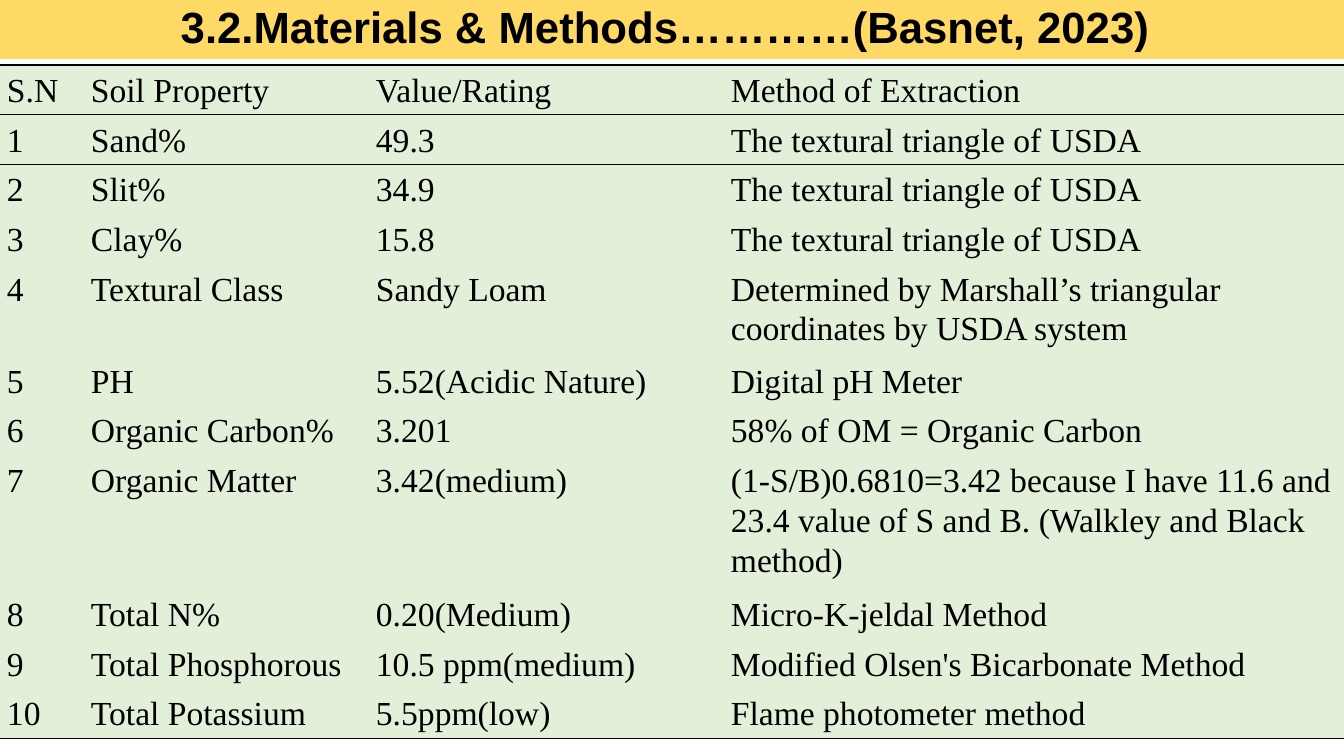
from dataclasses import dataclass

from lxml.etree import SubElement
from pptx import Presentation
from pptx.dml.color import RGBColor
from pptx.enum.text import MSO_ANCHOR, MSO_AUTO_SIZE, PP_ALIGN
from pptx.oxml import parse_xml
from pptx.oxml.ns import nsdecls, qn
from pptx.util import Pt

TITLE = "3.2.Materials & Methods…………(Basnet, 2023)"
TEXTURE_METHOD = "The textural triangle of USDA"
HEADER = ("S.N", "Soil Property", "Value/Rating", "Method of Extraction")
SOIL_PROPERTIES = [
    ("Sand%", "49.3", TEXTURE_METHOD),
    ("Slit%", "34.9", TEXTURE_METHOD),
    ("Clay%", "15.8", TEXTURE_METHOD),
    ("Textural Class", "Sandy Loam",
     "Determined by Marshall’s triangular coordinates by USDA system"),
    ("PH", "5.52(Acidic Nature)", "Digital pH Meter"),
    ("Organic Carbon%", "3.201", "58% of OM = Organic Carbon"),
    ("Organic Matter", "3.42(medium)",
     "(1-S/B)0.6810=3.42 because I have 11.6 and 23.4 value of S and B. "
     "(Walkley and Black method)"),
    ("Total N%", "0.20(Medium)", "Micro-K-jeldal Method"),
    ("Total Phosphorous", "10.5 ppm(medium)", "Modified Olsen's Bicarbonate Method"),
    ("Total Potassium", "5.5ppm(low)", "Flame photometer method"),
]

SLIDE_SIZE = (1344, 756)
TITLE_BOX = (-14, 0, 1358, 59)
TABLE_TOP = 65
COLUMN_WIDTHS = (84, 285, 355, 620)
ROW_HEIGHT = 49
TALL_ROWS = {4: 92, 7: 134}
CELL_MARGINS = (7, 5)
PLAIN_TABLE_STYLE = "{2D5ABB26-0587-4C30-8999-92F81FD0307C}"


@dataclass(frozen=True)
class Theme:
    band: str = "FFD966"
    cell: str = "E2F0D9"
    ink: str = "000000"
    title_font: str = "Arial"
    table_font: str = "Times New Roman"
    title_size: float = 31.2
    table_size: float = 24
    rule: float = 1


THEME = Theme()


def px(length):
    return round(length * 914400 / 100.8)


def paint(target, color):
    target.fill.solid()
    target.fill.fore_color.rgb = RGBColor.from_string(color)


def write(frame, text, *, font, size, bold=False, align=PP_ALIGN.LEFT, spacing=1.0):
    frame.word_wrap = True
    paragraph = frame.paragraphs[0]
    paragraph.alignment = align
    paragraph.line_spacing = spacing
    paragraph.space_before = paragraph.space_after = Pt(0)
    run = paragraph.add_run()
    run.text = text
    run.font.name = font
    run.font.size = Pt(size)
    run.font.bold = bold
    run.font.color.rgb = RGBColor.from_string(THEME.ink)


def rule_cell(cell, edges):
    """Draw a line on the given edges, "T" and "B" in that order."""
    properties = cell._tc.get_or_add_tcPr()
    for position, edge in enumerate(edges):
        line = parse_xml(f'<a:ln{edge} {nsdecls("a")} w="{Pt(THEME.rule)}"/>')
        fill = SubElement(line, qn("a:solidFill"))
        SubElement(fill, qn("a:srgbClr"), val=THEME.ink)
        properties.insert(position, line)


def add_title(slide):
    title = slide.shapes.title
    title.left, title.top, title.width, title.height = map(px, TITLE_BOX)
    paint(title, THEME.band)
    frame = title.text_frame
    frame.auto_size = MSO_AUTO_SIZE.NONE
    frame.vertical_anchor = MSO_ANCHOR.MIDDLE
    write(frame, TITLE, font=THEME.title_font, size=THEME.title_size, bold=True,
          align=PP_ALIGN.CENTER, spacing=0.9)


def add_soil_table(slide):
    rows = [HEADER] + [(str(number), *soil)
                       for number, soil in enumerate(SOIL_PROPERTIES, 1)]
    heights = [TALL_ROWS.get(index, ROW_HEIGHT) for index in range(len(rows))]
    table = slide.shapes.add_table(
        len(rows), len(HEADER), 0, px(TABLE_TOP),
        px(sum(COLUMN_WIDTHS)), px(sum(heights))).table
    table.horz_banding = table.first_row = False
    table._tbl.tblPr.find(qn("a:tableStyleId")).text = PLAIN_TABLE_STYLE

    for column, width in zip(table.columns, COLUMN_WIDTHS):
        column.width = px(width)
    for row, height in zip(table.rows, heights):
        row.height = px(height)

    ruled_edges = {0: "TB", 1: "T", len(rows) - 1: "B"}
    side, end = map(px, CELL_MARGINS)
    for row_index, values in enumerate(rows):
        for column_index, value in enumerate(values):
            cell = table.cell(row_index, column_index)
            cell.margin_left = cell.margin_right = side
            cell.margin_top = cell.margin_bottom = end
            paint(cell, THEME.cell)
            rule_cell(cell, ruled_edges.get(row_index, ""))
            write(cell.text_frame, value, font=THEME.table_font,
                  size=THEME.table_size, spacing=1.07)


def main():
    presentation = Presentation()
    presentation.slide_width, presentation.slide_height = map(px, SLIDE_SIZE)
    slide = presentation.slides.add_slide(presentation.slide_layouts[5])
    add_title(slide)
    add_soil_table(slide)
    presentation.save("out.pptx")


if __name__ == "__main__":
    main()
